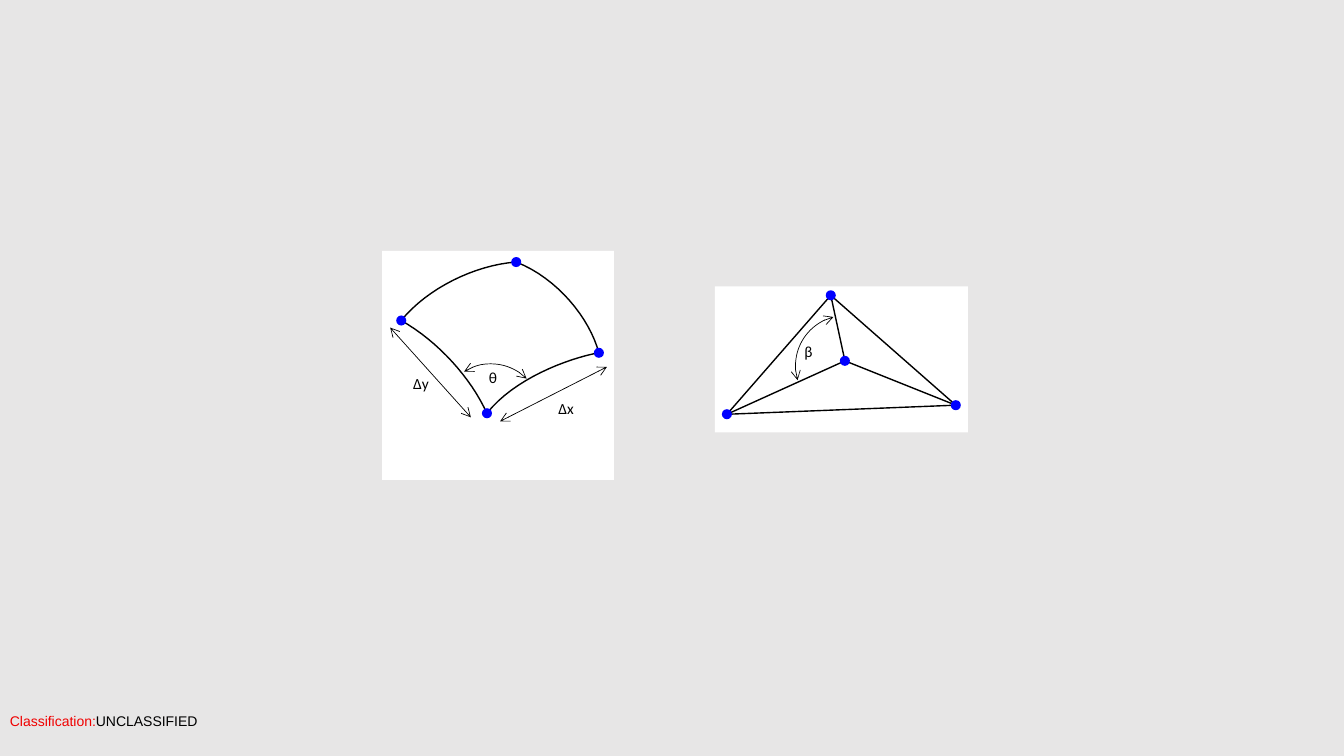
import itertools

import pptx
import pptx.dml.color
import pptx.enum.shapes
import pptx.enum.text
import pptx.oxml
import pptx.oxml.ns
import pptx.util

EMU_PER_PX = 9144  # 100 px to the inch
GREY = pptx.dml.color.RGBColor(0xE7, 0xE6, 0xE6)
WHITE = pptx.dml.color.RGBColor(0xFF, 0xFF, 0xFF)
BLACK = pptx.dml.color.RGBColor(0x00, 0x00, 0x00)
BLUE = pptx.dml.color.RGBColor(0x00, 0x00, 0xFF)
RED = pptx.dml.color.RGBColor(0xF0, 0x00, 0x00)
SHAPE = pptx.enum.shapes.MSO_SHAPE
STRAIGHT = pptx.enum.shapes.MSO_CONNECTOR.STRAIGHT
EDGE_PT, DIMENSION_PT = 1, 0.5


def emu(*lengths):
    return [round(length * EMU_PER_PX) for length in lengths]


def bezier(start, control1, control2, end, steps=16):
    """Points along a cubic curve, without its start."""
    for step in range(1, steps + 1):
        t = step / steps
        weights = ((1 - t) ** 3, 3 * t * (1 - t) ** 2, 3 * t * t * (1 - t), t ** 3)
        yield tuple(sum(w * value for w, value in zip(weights, axis))
                    for axis in zip(start, control1, control2, end))


class Diagram:
    def __init__(self, slide):
        self.slide = slide
        self.shapes = slide.shapes

    def start_group(self):
        self.shapes = self.slide.shapes.add_group_shape().shapes

    def end_group(self):
        self.shapes = self.slide.shapes

    def filled(self, kind, box, color):
        shape = self.shapes.add_shape(kind, *emu(*box))
        shape.shadow.inherit = False
        shape.fill.solid()
        shape.fill.fore_color.rgb = color
        shape.line.fill.background()

    def dot(self, center):
        x, y = center
        self.filled(SHAPE.OVAL, (x - 5, y - 5, 10, 10), BLUE)

    def stroke(self, shape, width, arrows=False):
        shape.line.color.rgb = BLACK
        shape.line.width = pptx.util.Pt(width)
        if arrows:
            outline = shape._element.spPr.find(pptx.oxml.ns.qn("a:ln"))
            for end in ("headEnd", "tailEnd"):
                outline.append(pptx.oxml.parse_xml(
                    f'<a:{end} {pptx.oxml.ns.nsdecls("a")} type="arrow"/>'))

    def line(self, start, end, width, arrows=False):
        connector = self.shapes.add_connector(STRAIGHT, *emu(*start, *end))
        self.stroke(connector, width, arrows)
        connector._element.spPr.append(pptx.oxml.parse_xml(
            f'<a:effectLst {pptx.oxml.ns.nsdecls("a")}/>'))

    def angle_arc(self, left, top, from_degrees, to_degrees):
        arc = self.shapes.add_shape(SHAPE.ARC, *emu(left, top, 100, 100))
        arc.shadow.inherit = False
        arc.fill.background()
        # Adjustments count 60000ths of a degree, divided by 100000
        arc.adjustments[0] = from_degrees * 0.6
        arc.adjustments[1] = to_degrees * 0.6
        self.stroke(arc, DIMENSION_PT, arrows=True)

    def curved_outline(self, curves):
        builder = self.shapes.build_freeform(*emu(*curves[0][0]), scale=1.0)
        builder.add_line_segments(
            [emu(*point) for curve in curves for point in bezier(*curve)], close=True)
        outline = builder.convert_to_shape()
        outline.shadow.inherit = False
        outline.fill.background()
        self.stroke(outline, EDGE_PT)

    def text(self, box, runs, size, font, anchor=pptx.enum.text.MSO_ANCHOR.TOP):
        frame = self.shapes.add_textbox(*emu(*box)).text_frame
        frame.word_wrap = True
        frame.vertical_anchor = anchor
        for content, color in runs:
            run = frame.paragraphs[0].add_run()
            run.text = content
            run.font.size = pptx.util.Pt(size)
            run.font.name = font
            run.font.color.rgb = color

    def label(self, left, top, symbol):
        self.text((left, top, 42, 29), [(symbol, BLACK)], 11, "Calibri")


def draw_curved_cell(diagram):
    left, top, right, bottom = (398, 318), (512, 260), (594, 350), (483, 410)
    diagram.start_group()
    diagram.filled(SHAPE.RECTANGLE, (379, 249, 230, 227), WHITE)
    diagram.curved_outline([
        (left, (424, 286), (471, 263), top),
        (top, (553, 276), (585, 316), right),
        (right, (562, 356), (510, 376), bottom),
        (bottom, (467, 375), (435, 339), left),
    ])
    for corner in (top, left, right, bottom):
        diagram.dot(corner)
    # Side lengths and the angle between them
    diagram.line((496, 418), (602, 364), DIMENSION_PT, arrows=True)
    diagram.line((467, 414), (387, 325), DIMENSION_PT, arrows=True)
    diagram.label(544, 391, "Δx")
    diagram.label(400, 366, "Δy")
    diagram.angle_arc(437, 361, 237.89, 315)
    diagram.label(475, 360, "θ")
    diagram.end_group()


def draw_tetrahedron(diagram):
    vertices = [(824, 293), (721, 411), (948, 402), (838, 358)]
    diagram.start_group()
    diagram.filled(SHAPE.RECTANGLE, (709, 284, 251, 145), WHITE)
    for start, end in itertools.combinations(vertices, 2):
        diagram.line(start, end, EDGE_PT)
    for vertex in vertices:
        diagram.dot(vertex)
    # Angle between two edges
    diagram.angle_arc(789, 313, 163.49, 255.69)
    diagram.label(788, 334, "β")
    diagram.end_group()


def main():
    deck = pptx.Presentation()
    deck.slide_width, deck.slide_height = emu(1333, 750)
    slide = deck.slides.add_slide(deck.slide_layouts[6])
    slide.background.fill.solid()
    slide.background.fill.fore_color.rgb = GREY

    diagram = Diagram(slide)
    draw_curved_cell(diagram)
    draw_tetrahedron(diagram)

    # Classification footer
    diagram.text((0, 695, 1333, 40),
                 [("Classification:", RED), ("UNCLASSIFIED", BLACK)],
                 10, "Arial", pptx.enum.text.MSO_ANCHOR.MIDDLE)
    deck.save("out.pptx")


if __name__ == "__main__":
    main()
